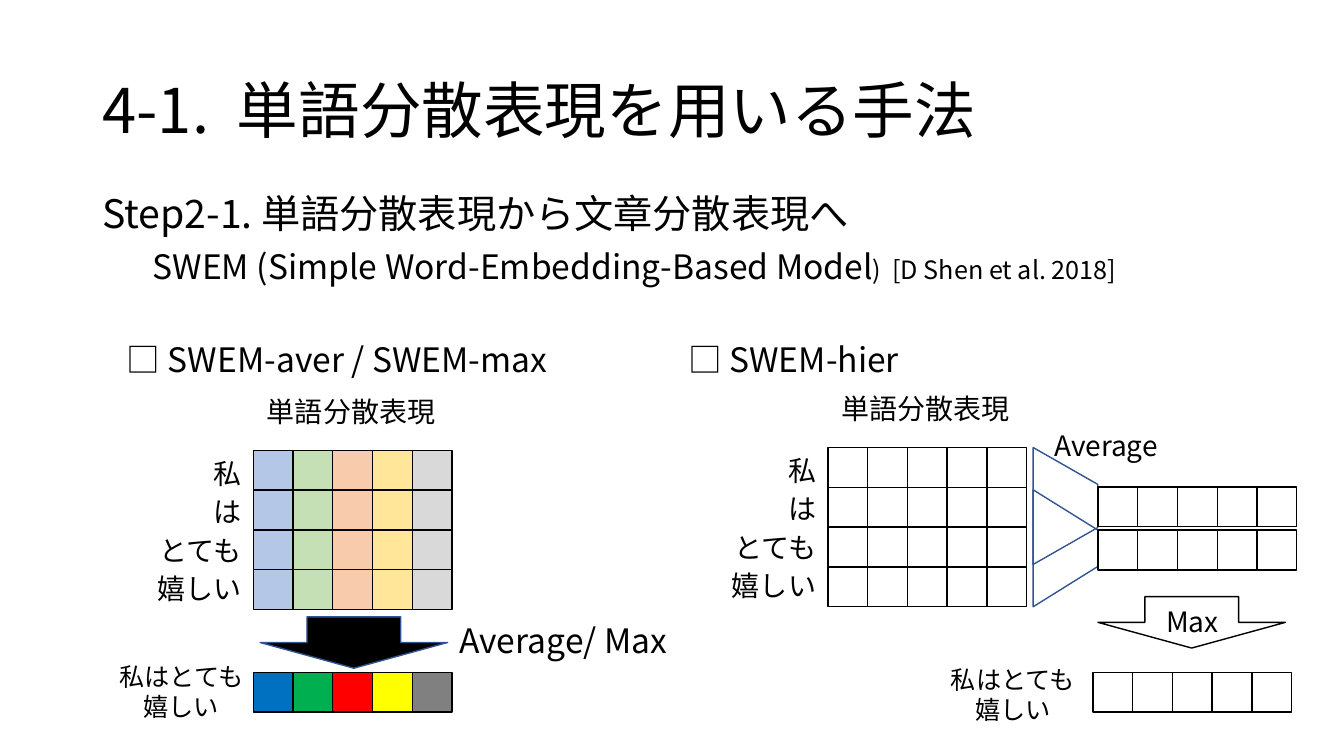
from pptx import Presentation
from pptx.dml.color import RGBColor
from pptx.enum import shapes, text
from pptx.oxml.ns import qn
from pptx.util import Pt

FONT = "Noto Sans CJK JP"
BLACK, WHITE, BLUE = "000000", "FFFFFF", "325491"
CELL = 28.4
LEFT, CENTER, RIGHT = text.PP_ALIGN.LEFT, text.PP_ALIGN.CENTER, text.PP_ALIGN.RIGHT

# Content: each paragraph is a list of (text, size) runs
TITLE = [[("4-1.  単語分散表現を用いる手法", 44)]]
BODY = [
    [("Step2-1. 単語分散表現から文章分散表現へ", 28)],
    [("\tSWEM (Simple Word-Embedding-Based Model", 24), (")  [D Shen et al. 2018]", 18)],
]
WORDS = ["私", "は", "とても", "嬉しい"]
SENTENCE = [[("私はとても", 18)], [("嬉しい", 18)]]
PALE = ["B4C7E7", "C5E0B4", "F8CBAD", "FFE699", "D9D9D9"]
VIVID = ["0070C0", "00B050", "FF0000", "FFFF00", "808080"]
EMPTY = [None] * 5

# left, top, width, height, text, size
LABELS = [
    (83.5, 238.3, 337, 36, "□ SWEM-aver / SWEM-max", 24),
    (484.6, 238.3, 174.2, 36, "□ SWEM-hier", 24),
    (183.6, 278, 135.4, 31.7, "単語分散表現", 20),
    (594, 276.2, 135.4, 31.7, "単語分散表現", 20),
    (321.1, 439.2, 171.4, 36, "Average/ Max", 24),
    (745.9, 302.4, 90, 31.7, "Average", 20),
]
# right edge and top of the word column
WORD_COLUMNS = [(179.6, 322.2), (590, 320.2)]
SENTENCES = [(77, 468.7), (671, 470.9)]
# left, top, one list of fills per row
GRIDS = [
    (180.9, 321.7, [PALE] * 4),
    (180.9, 480.2, [VIVID]),
    (591.4, 319.7, [EMPTY] * 4),
    (780.7, 480.2, [EMPTY]),
    (784.3, 378.7, [EMPTY]),
    (784.3, 347.9, [EMPTY]),
]
# left, top, fill, line
ARROWS = [(185.8, 440.6, BLACK, BLUE), (784.3, 426.2, None, BLACK)]
# top, adjustment, fill
FUNNELS = [(338.4, 0.571, WHITE), (368.6, 0.623, None)]

prs = Presentation()
prs.slide_width, prs.slide_height = Pt(960), Pt(540)
s = prs.slides.add_slide(prs.slide_layouts[6])


def rgb(color):
    return RGBColor.from_string(color)


def add_text(x, y, w, h, paragraphs, align=LEFT, wrap=False,
             anchor=text.MSO_ANCHOR.TOP, spacing=None, before=0):
    tf = s.shapes.add_textbox(Pt(x), Pt(y), Pt(w), Pt(h)).text_frame
    tf.word_wrap = wrap
    tf.vertical_anchor = anchor
    for i, runs in enumerate(paragraphs):
        p = tf.add_paragraph() if i else tf.paragraphs[0]
        p.alignment, p.space_before = align, Pt(before)
        if spacing:
            p.line_spacing = spacing
        for words, size in runs:
            r = p.add_run()
            r.text = words
            r.font.name, r.font.size = FONT, Pt(size)
            r.font.color.rgb = rgb(BLACK)
            ea = r.font._element.makeelement(qn("a:ea"), {"typeface": FONT})
            r.font._element.find(qn("a:latin")).addnext(ea)


def add_shape(kind, x, y, w, h, fill, line):
    sp = s.shapes.add_shape(kind, Pt(x), Pt(y), Pt(w), Pt(h))
    sp.shadow.inherit = False
    if fill:
        sp.fill.solid()
        sp.fill.fore_color.rgb = rgb(fill)
    else:
        sp.fill.background()
    sp.line.color.rgb, sp.line.width = rgb(line), Pt(1)
    return sp


# Title and lead text
add_text(66, 28.75, 828, 104.4, TITLE, wrap=True,
         anchor=text.MSO_ANCHOR.MIDDLE, spacing=0.9)
add_text(66, 135.4, 828, 342.6, BODY, wrap=True, spacing=0.9, before=10)

# Funnels that average neighbouring words
for y, adjustment, fill in FUNNELS:
    sp = add_shape(shapes.MSO_SHAPE.TRAPEZOID, 719.3, y, 83.5, 46.1, fill, BLUE)
    sp.rotation = 90
    sp.adjustments[0] = adjustment

# Vector grids
for x, y, rows in GRIDS:
    for i, fills in enumerate(rows):
        for j, fill in enumerate(fills):
            add_shape(shapes.MSO_SHAPE.RECTANGLE, x + j * CELL, y + i * CELL,
                      CELL, CELL, fill, BLACK)

# Pooling arrows
for x, y, fill, line in ARROWS:
    add_shape(shapes.MSO_SHAPE.DOWN_ARROW, x, y, 133.9, 36.7, fill, line)

# Labels
for x, y, w, h, words, size in LABELS:
    add_text(x, y, w, h, [[(words, size)]])
add_text(825.8, 428.4, 54, 31.7, [[("Max", 20)]])
for right, y in WORD_COLUMNS:
    for i, word in enumerate(WORDS):
        add_text(right - 76, y + i * 27.5, 76, 31.7, [[(word, 20)]], RIGHT, wrap=True)
for x, y in SENTENCES:
    add_text(x, y, 105.1, 51.1, SENTENCE, CENTER)

prs.save("out.pptx")
